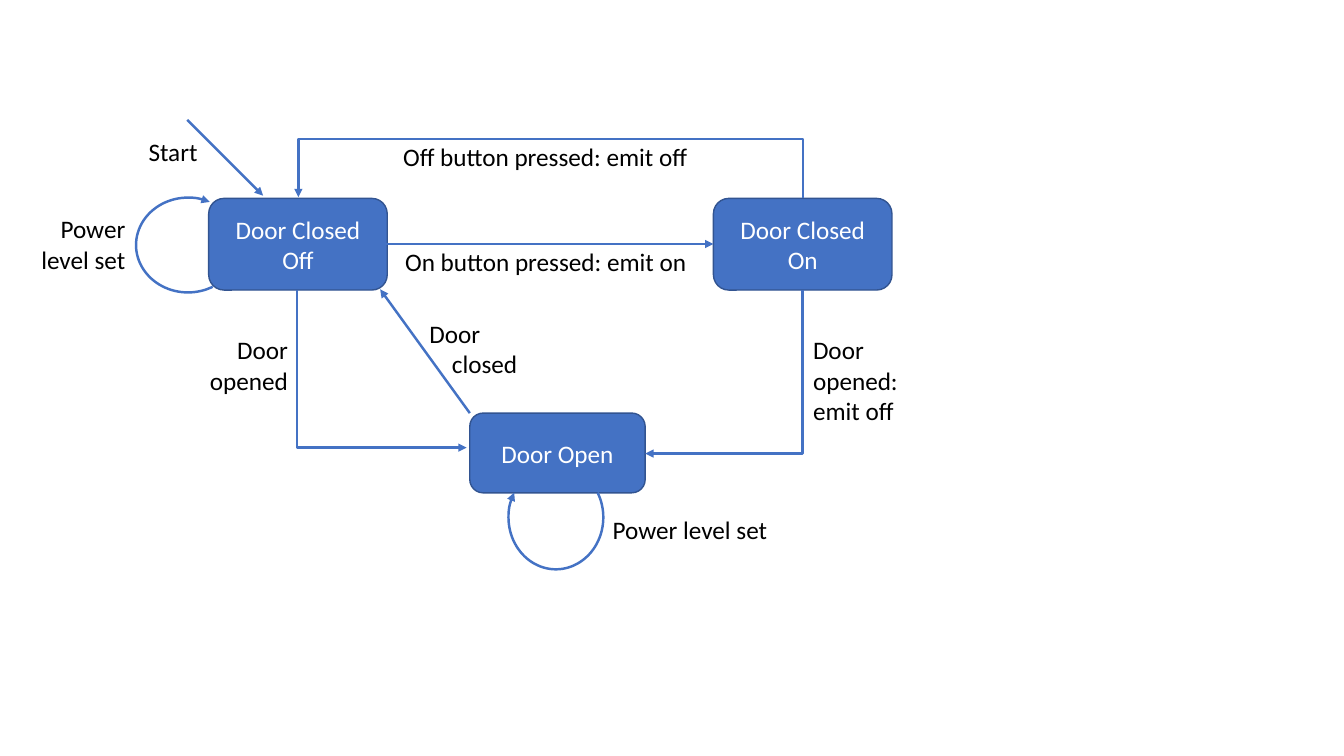
from dataclasses import dataclass

from lxml.etree import SubElement as Sub
from pptx import Presentation
from pptx.dml.color import RGBColor
from pptx.enum.shapes import MSO_CONNECTOR as Conn, MSO_SHAPE as Kind
from pptx.enum.text import MSO_ANCHOR as Anchor, MSO_AUTO_SIZE as Auto, PP_ALIGN as Align
from pptx.oxml.ns import qn
from pptx.util import Cm, Pt

BLUE, EDGE, WHITE, BLACK = "4472C4", "325491", "FFFFFF", "000000"


@dataclass
class State:
    text: str
    x: float
    y: float
    w: float
    h: float


@dataclass
class Label:
    text: str
    x: float
    y: float
    w: float
    h: float = 1.02
    align: Align = Align.LEFT
    indent: float = 0  # left margin of the last line


@dataclass
class Loop:
    x: float
    y: float
    start: float  # degrees
    end: float
    turn: int = 0


@dataclass
class Link:
    x1: float
    y1: float
    x2: float
    y2: float
    kind: Conn = Conn.STRAIGHT
    turn: int = 0
    flip: str = ""
    bend: float = 0  # distance to the bend; 0 gives a single corner when turned


STATES = [
    State("Door Closed\nOff", 5.26, 5, 4.5, 2.31),
    State("Door Closed\nOn", 17.98, 5, 4.5, 2.31),
    State("Door Open", 11.84, 10.41, 4.42, 2.01),
]
LINKS = [
    Link(9.73, 6.15, 17.98, 6.15, Conn.ELBOW),
    Link(7.49, 7.32, 11.76, 11.28, Conn.ELBOW, 270, "flipH"),
    Link(20.22, 7.32, 16.26, 11.43, Conn.ELBOW, 90),
    Link(20.24, 5, 7.52, 4.97, Conn.ELBOW, 270, "flipV", 1.5),
    Link(11.84, 10.41, 9.58, 7.29),
    Link(4.72, 3.02, 6.63, 4.93),
]
LOOPS = [
    Loop(3.43, 4.98, 59.35, 296.71),
    Loop(12.7, 11.84, 59.35, 300.71, 270),
]
LABELS = [
    Label("On button pressed: emit on", 9.96, 6.07, 7.7),
    Label("Off button pressed: emit off", 9.91, 3.43, 7.8),
    Label("Door\nopened", 5, 8.31, 2.51, 1.8, Align.RIGHT),
    Label("Door\nopened:\nemit off", 20.24, 8.31, 2.77, 2.57),
    Label("Power level set", 15.19, 12.83, 4.45),
    Label("Power\nlevel set", 0.74, 5.26, 2.67, 1.8, Align.RIGHT),
    Label("Door\nclosed", 10.57, 7.9, 2.77, 1.8, indent=0.57),
    Label("Start", 3.48, 3.3, 1.75, align=Align.RIGHT),
]


def paint(hue: str) -> RGBColor:
    return RGBColor.from_string(hue)


def write(frame, text: str, hue: str, align: Align) -> None:
    frame.text = text
    for para in frame.paragraphs:
        para.alignment = align
        for run in para.runs:
            run.font.name, run.font.size = "Calibri", Pt(18)
            run.font.color.rgb = paint(hue)


def arrow(shape) -> None:
    shape.line.color.rgb = paint(BLUE)
    shape.line.width = Pt(1.75)
    Sub(shape.element.spPr.find(qn("a:ln")), qn("a:tailEnd"), type="triangle")


def add_state(shapes, s: State) -> None:
    box = shapes.add_shape(Kind.ROUNDED_RECTANGLE, Cm(s.x), Cm(s.y), Cm(s.w), Cm(s.h))
    box.shadow.inherit = False
    box.fill.solid()
    box.fill.fore_color.rgb = paint(BLUE)
    box.line.color.rgb = paint(EDGE)
    box.line.width = Pt(1)
    box.text_frame.vertical_anchor = Anchor.MIDDLE
    write(box.text_frame, s.text, WHITE, Align.CENTER)


def add_link(shapes, k: Link) -> None:
    ends = k.x1, k.y1, k.x2, k.y2
    if k.turn:  # the unturned frame has its sides swapped about the centre
        mx, my = (k.x1 + k.x2) / 2, (k.y1 + k.y2) / 2
        dx, dy = abs(k.y2 - k.y1) / 2, abs(k.x2 - k.x1) / 2
        ends = mx - dx, my - dy, mx + dx, my + dy
    line = shapes.add_connector(k.kind, *map(Cm, ends))
    arrow(line)
    props = line.element.spPr
    Sub(props, qn("a:effectLst"))
    if k.turn:
        frame, geom = props.find(qn("a:xfrm")), props.find(qn("a:prstGeom"))
        frame.set("rot", str(k.turn * 60000))
        if k.flip:
            frame.set(k.flip, "1")
        if k.bend:
            ratio = round(k.bend / abs(k.y2 - k.y1) * 100000)
            Sub(geom.find(qn("a:avLst")), qn("a:gd"), name="adj1", fmla=f"val {ratio}")
        else:
            geom.set("prst", "bentConnector2")


def add_loop(shapes, o: Loop) -> None:
    arc = shapes.add_shape(Kind.ARC, Cm(o.x), Cm(o.y), Cm(2.62), Cm(2.39))
    arc.shadow.inherit = False
    arc.fill.background()
    arc.rotation = o.turn
    for i, angle in enumerate((o.start, o.end)):
        arc.adjustments[i] = angle * 0.6
    arrow(arc)


def add_label(shapes, b: Label) -> None:
    frame = shapes.add_textbox(Cm(b.x), Cm(b.y), Cm(b.w), Cm(b.h)).text_frame
    frame.word_wrap = False
    frame.auto_size = Auto.SHAPE_TO_FIT_TEXT
    write(frame, b.text, BLACK, b.align)
    if b.indent:
        last = frame.paragraphs[-1]
        last.runs[0].font.bold = False
        last.alignment = b.align
        frame.paragraphs[-1]._p.get_or_add_pPr().set("marL", str(Cm(b.indent)))


# Slide
deck = Presentation()
deck.slide_width, deck.slide_height = Cm(33.87), Cm(19.05)
shapes = deck.slides.add_slide(deck.slide_layouts[6]).shapes

# State diagram
for state in STATES:
    add_state(shapes, state)
for link in LINKS:
    add_link(shapes, link)
for loop in LOOPS:
    add_loop(shapes, loop)
for label in LABELS:
    add_label(shapes, label)

deck.save("out.pptx")
